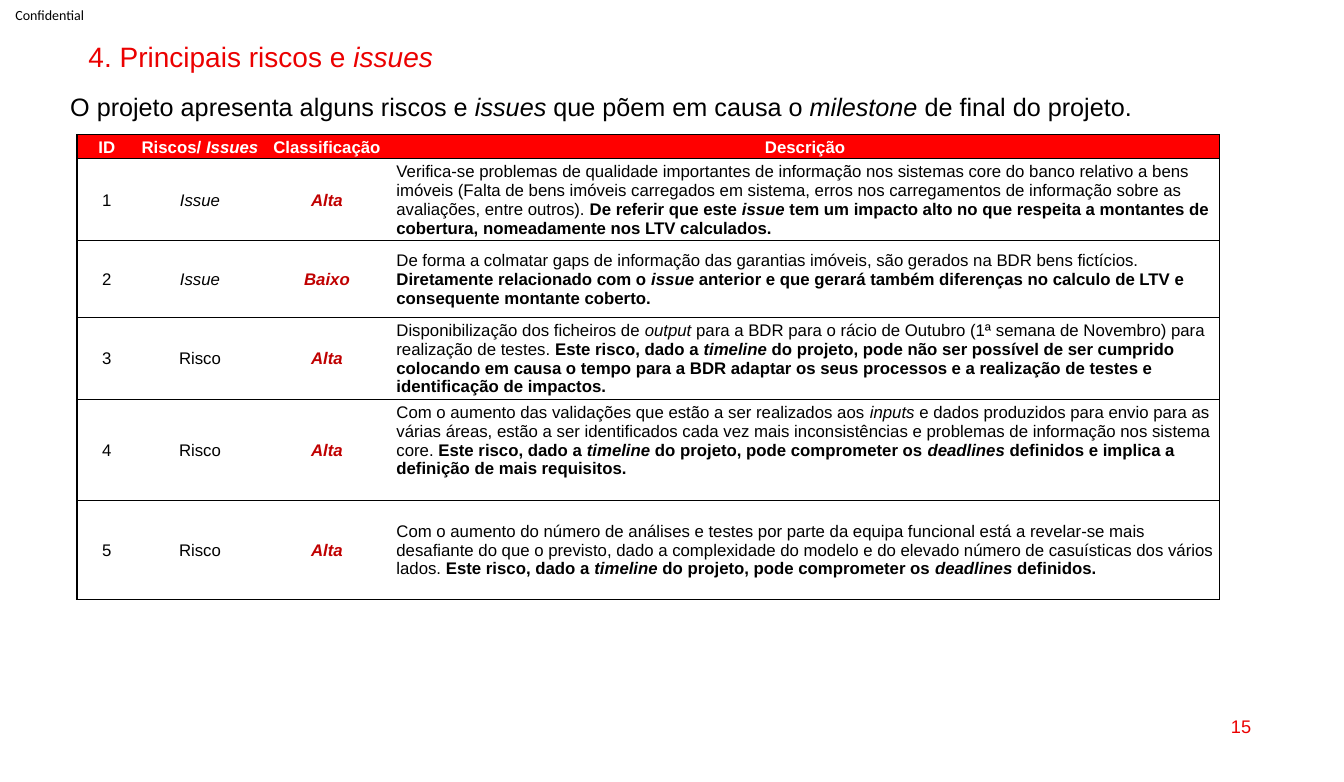
from dataclasses import dataclass

from lxml import etree
from pptx import Presentation
from pptx import util as u
from pptx.dml.color import RGBColor
from pptx.enum import text
from pptx.oxml.ns import qn
from pptx.util import Cm

BLACK = RGBColor(0x00, 0x00, 0x00)
WHITE = RGBColor(0xFF, 0xFF, 0xFF)
TITLE_RED = RGBColor(0xEB, 0x00, 0x00)
HEADER_RED = RGBColor(0xFF, 0x00, 0x00)
LEVEL_RED = RGBColor(0xC0, 0x00, 0x00)

LEFT, CENTER, RIGHT = text.PP_ALIGN.LEFT, text.PP_ALIGN.CENTER, text.PP_ALIGN.RIGHT
TOP, MIDDLE = text.MSO_ANCHOR.TOP, text.MSO_ANCHOR.MIDDLE


@dataclass(frozen=True)
class Label:
    content: str
    left: float
    top: float
    width: float
    height: float
    size: float
    color: RGBColor
    font: str = "Arial"
    align: int = LEFT
    anchor: int = TOP
    inset: tuple = (0.25, 0.13)
    line_spacing: float = 1.0


@dataclass(frozen=True)
class Risk:
    kind: str
    level: str
    facts: str
    impact: str
    height: float
    bottom_margin: float = 0


LABELS = [
    Label("Confidential", 0, 0, 2.51, 0.74, 10, BLACK, "Calibri", anchor=MIDDLE, inset=(0.39, 0)),
    Label("4. Principais riscos e _issues_", 1.98, 0.97, 29.9, 0.86, 20, TITLE_RED,
          line_spacing=0.9),
    Label("15", 24.16, 17.78, 7.62, 1.04, 13, TITLE_RED, align=RIGHT, anchor=MIDDLE),
    Label("O projeto apresenta alguns riscos e _issues_ que põem em causa o _milestone_ "
          "de final do projeto.", 1.52, 2.18, 29.9, 1.02, 18, BLACK),
]

HEADERS = ["ID", "Riscos/ _Issues_", "Classificação", "Descrição"]
COLUMN_WIDTHS = [1.5, 3.2, 3.2, 20.9]
HEADER_HEIGHT = 0.61

RISKS = [
    Risk("_Issue_", "_Alta_",
         "Verifica-se problemas de qualidade importantes de informação nos sistemas core do banco "
         "relativo a bens imóveis (Falta de bens imóveis carregados em sistema, erros nos "
         "carregamentos de informação sobre as avaliações, entre outros). ",
         "De referir que este _issue_ tem um impacto alto no que respeita a montantes de "
         "cobertura, nomeadamente nos LTV calculados.", 2.06),
    Risk("_Issue_", "_Baixo_",
         "De forma a colmatar gaps de informação das garantias imóveis, são gerados na BDR bens "
         "fictícios. ",
         "Diretamente relacionado com o _issue_ anterior e que gerará também diferenças no "
         "calculo de LTV e consequente montante coberto.", 1.93),
    Risk("Risco", "_Alta_",
         "Disponibilização dos ficheiros de _output_ para a BDR para o rácio de Outubro "
         "(1ª semana de Novembro) para realização de testes.",
         " Este risco, dado a _timeline_ do projeto, pode não ser possível de ser cumprido "
         "colocando em causa o tempo para a BDR adaptar os seus processos e a realização de "
         "testes e identificação de impactos.", 2.06),
    Risk("Risco", "_Alta_",
         "Com o aumento das validações que estão a ser realizados aos _inputs _e dados produzidos "
         "para envio para as várias áreas, estão a ser identificados cada vez mais "
         "inconsistências e problemas de informação nos sistema core.",
         " Este risco, dado a _timeline_ do projeto, pode comprometer os _deadlines_ definidos e "
         "implica a definição de mais requisitos.", 2.54, bottom_margin=0.47),
    Risk("Risco", "_Alta_",
         "Com o aumento do número de análises e testes por parte da equipa funcional está a "
         "revelar-se mais desafiante do que o previsto, dado a complexidade do modelo e do "
         "elevado número de casuísticas dos vários lados. ",
         "Este risco, dado a _timeline_ do projeto, pode comprometer os _deadlines_ definidos.",
         2.5),
]


def add_runs(paragraph, content: str, size: float, color: RGBColor,
             bold: bool = False, font: str = "Arial") -> None:
    """Append the content, with the parts between underscores in italics."""
    for index, part in enumerate(content.split("_")):
        if not part:
            continue
        run = paragraph.add_run()
        run.text = part
        run.font.name = font
        run.font.size = u.Pt(size)
        run.font.bold = bold
        run.font.italic = index % 2 == 1
        run.font.color.rgb = color


def add_label(slide, label: Label) -> None:
    box = slide.shapes.add_textbox(Cm(label.left), Cm(label.top), Cm(label.width), Cm(label.height))
    frame = box.text_frame
    frame.word_wrap = True
    frame.vertical_anchor = label.anchor
    frame.margin_left = frame.margin_right = Cm(label.inset[0])
    frame.margin_top = frame.margin_bottom = Cm(label.inset[1])
    paragraph = frame.paragraphs[0]
    paragraph.alignment = label.align
    paragraph.line_spacing = label.line_spacing
    add_runs(paragraph, label.content, label.size, label.color, font=label.font)


def set_borders(cell, widths: dict[str, float]) -> None:
    """Draw each side with its width in points; zero means no line."""
    properties = cell._tc.get_or_add_tcPr()
    for index, (side, width) in enumerate(widths.items()):
        line = etree.Element(qn(f"a:ln{side}"), w=str(u.Pt(width)))
        if width:
            fill = etree.SubElement(line, qn("a:solidFill"))
            etree.SubElement(fill, qn("a:srgbClr"), val=str(BLACK))
        else:
            etree.SubElement(line, qn("a:noFill"))
        properties.insert(index, line)


def format_cell(cell, row: int, column: int) -> None:
    is_description = row > 0 and column == len(HEADERS) - 1
    cell.vertical_anchor = MIDDLE
    cell.margin_left = Cm(0.15 if is_description else 0.03)
    cell.margin_right = cell.margin_top = Cm(0.03)
    cell.margin_bottom = 0
    cell.text_frame.paragraphs[0].alignment = LEFT if is_description else CENTER
    if row == 0:
        cell.fill.solid()
        cell.fill.fore_color.rgb = HEADER_RED
    else:
        cell.fill.background()
    set_borders(cell, {
        "L": 1 if column == 0 else 0,
        "R": 1 if column == len(HEADERS) - 1 else 0,
        "T": 1 if row == 0 else 0.5,
        "B": 0.5,
    })


def add_risk_table(slide) -> None:
    heights = [HEADER_HEIGHT] + [risk.height for risk in RISKS]
    table = slide.shapes.add_table(len(heights), len(HEADERS), Cm(1.94), Cm(3.39),
                                   Cm(sum(COLUMN_WIDTHS)), Cm(sum(heights))).table
    table.first_row = table.horz_banding = False
    for column, width in zip(table.columns, COLUMN_WIDTHS):
        column.width = Cm(width)
    for row_index, height in enumerate(heights):
        table.rows[row_index].height = Cm(height)
        for column_index in range(len(HEADERS)):
            format_cell(table.cell(row_index, column_index), row_index, column_index)

    for column_index, header in enumerate(HEADERS):
        paragraph = table.cell(0, column_index).text_frame.paragraphs[0]
        add_runs(paragraph, header, 12, WHITE, bold=True)
    for number, risk in enumerate(RISKS, start=1):
        cells = table.rows[number].cells
        identifier, kind, level, description = (cell.text_frame.paragraphs[0] for cell in cells)
        add_runs(identifier, str(number), 12, BLACK)
        add_runs(kind, risk.kind, 12, BLACK)
        add_runs(level, risk.level, 12, LEVEL_RED, bold=True)
        add_runs(description, risk.facts, 12, BLACK)
        add_runs(description, risk.impact, 12, BLACK, bold=True)
        cells[len(HEADERS) - 1].margin_bottom = Cm(risk.bottom_margin)


def main() -> None:
    presentation = Presentation()
    presentation.slide_width, presentation.slide_height = Cm(33.87), Cm(19.7)
    slide = presentation.slides.add_slide(presentation.slide_layouts[6])
    for label in LABELS:
        add_label(slide, label)
    add_risk_table(slide)
    presentation.save("out.pptx")


if __name__ == "__main__":
    main()
